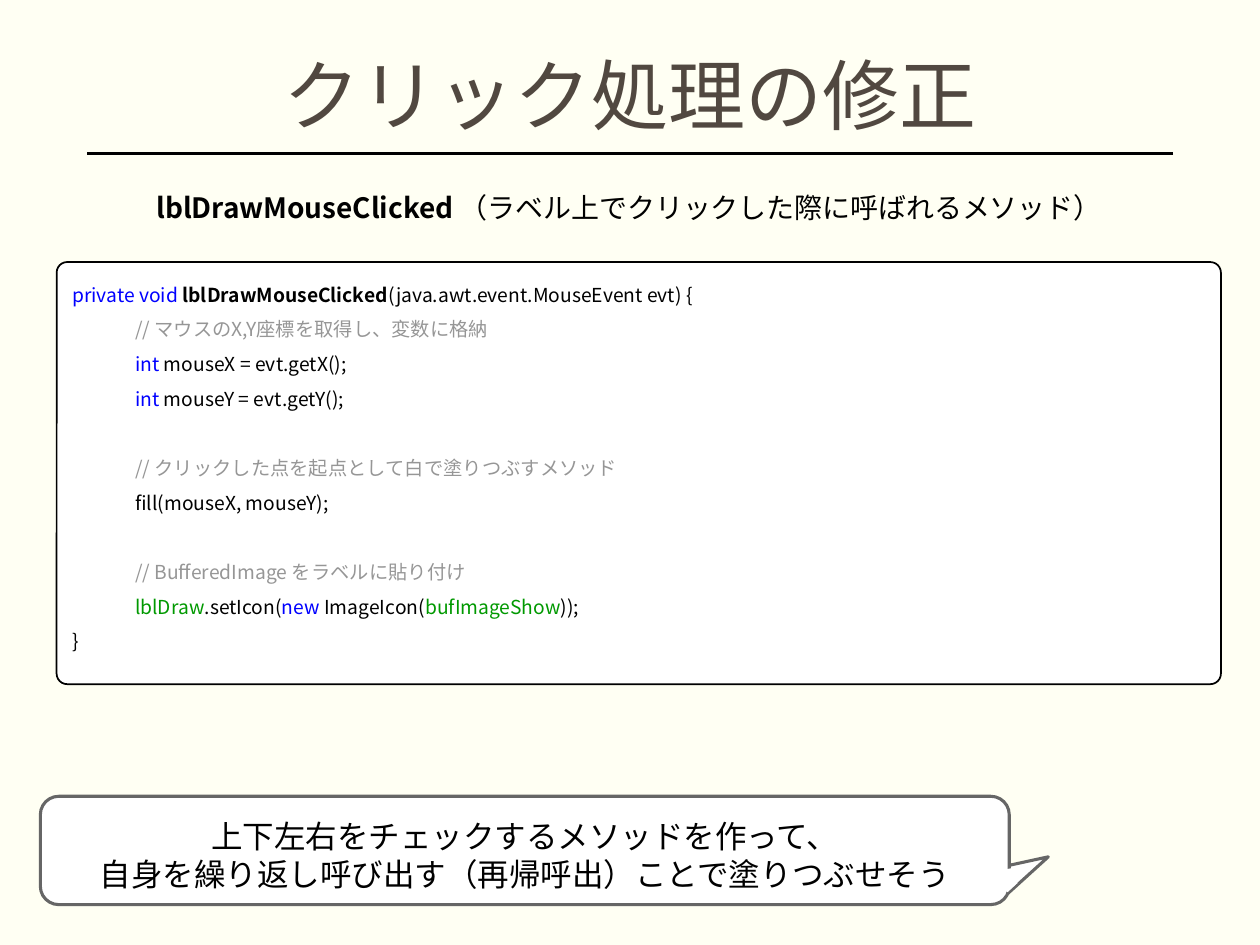
from dataclasses import dataclass

from lxml import etree
from pptx import Presentation
from pptx.dml import color
from pptx.enum import shapes, text
from pptx.oxml import ns
from pptx.util import Inches, Pt


@dataclass(frozen=True)
class Theme:
    face: str = "Noto Sans CJK JP"
    paper: str = "FFFFF3"
    panel: str = "FFFFFF"
    heading: str = "514840"
    ink: str = "000000"
    keyword: str = "0000FF"
    remark: str = "969696"
    field: str = "009900"
    edge: str = "666666"
    title_size: float = 44
    callout_size: float = 18
    subtitle_size: float = 16
    code_size: float = 11
    code_spacing: float = 1.5
    blank_line: float = 19.8


def rgb(value):
    return color.RGBColor.from_string(value)


def assign(target, values):
    for name, value in values.items():
        setattr(target, name, value)


class SlideBuilder:
    def __init__(self, slide, theme):
        self.slide = slide
        self.theme = theme
        slide.background.fill.solid()
        slide.background.fill.fore_color.rgb = rgb(theme.paper)

    def add_runs(self, paragraph, runs, size, **layout):
        assign(paragraph, layout)
        for words, ink, bold in runs:
            run = paragraph.add_run()
            run.text = words
            assign(run.font, {"name": self.theme.face, "size": Pt(size), "bold": bold})
            run.font.color.rgb = rgb(ink)
            latin = run.font._element.find(ns.qn("a:latin"))
            east_asian = etree.Element(ns.qn("a:ea"), typeface=self.theme.face)
            latin.addnext(east_asian)

    def paint(self, shape, edge=None, width=0):
        shape.shadow.inherit = False
        shape.fill.solid()
        shape.fill.fore_color.rgb = rgb(self.theme.panel)
        if edge:
            shape.line.color.rgb = rgb(edge)
            shape.line.width = Pt(width)
        else:
            shape.line.fill.background()

    def title(self, words, box):
        heading = self.slide.shapes.title
        assign(heading, dict(zip(("left", "top", "width", "height"), map(Inches, box))))
        heading.text_frame.vertical_anchor = text.MSO_ANCHOR.MIDDLE
        self.add_runs(heading.text_frame.paragraphs[0], [(words, self.theme.heading, False)],
                      self.theme.title_size, alignment=text.PP_ALIGN.CENTER, line_spacing=0.9)

    def rule(self, start, end, width):
        line = self.slide.shapes.add_connector(
            shapes.MSO_CONNECTOR.STRAIGHT, *map(Inches, start + end))
        line.line.color.rgb = rgb(self.theme.ink)
        line.line.width = Pt(width)
        etree.SubElement(line._element.spPr, ns.qn("a:effectLst"))

    def subtitle(self, runs, box):
        caption = self.slide.shapes.add_textbox(*map(Inches, box))
        assign(caption.text_frame, {"word_wrap": True,
                                    "auto_size": text.MSO_AUTO_SIZE.SHAPE_TO_FIT_TEXT})
        self.add_runs(caption.text_frame.paragraphs[0], runs, self.theme.subtitle_size,
                      alignment=text.PP_ALIGN.CENTER)

    def panel(self, box, edge, width, corner, **frame):
        shape = self.slide.shapes.add_shape(
            shapes.MSO_SHAPE.ROUNDED_RECTANGLE, *map(Inches, box))
        shape.adjustments[0] = corner
        self.paint(shape, edge, width)
        assign(shape.text_frame, frame)
        return shape.text_frame

    def paragraphs(self, frame, count):
        return frame.paragraphs + tuple(frame.add_paragraph() for _ in range(count - 1))

    def code(self, lines, box):
        frame = self.panel(box, self.theme.ink, 1, 0.025, word_wrap=True,
                           vertical_anchor=text.MSO_ANCHOR.TOP)
        for paragraph, (indent, gap, runs) in zip(self.paragraphs(frame, len(lines)), lines):
            self.add_runs(paragraph, runs, self.theme.code_size,
                          alignment=text.PP_ALIGN.LEFT, line_spacing=self.theme.code_spacing,
                          space_before=Pt(gap * self.theme.blank_line))
            properties = paragraph._p.get_or_add_pPr()
            properties.set("marL", str(Inches(indent)))
            properties.set("indent", "0")

    def tail(self, points):
        corners = [tuple(map(Inches, point)) for point in points]
        outline = self.slide.shapes.build_freeform(*corners[0])
        outline.add_line_segments(corners[1:], close=True)
        self.paint(outline.convert_to_shape(), self.theme.edge, 1.75)

    def callout(self, sentences, box):
        frame = self.panel(box, self.theme.edge, 1.75, 0.17, word_wrap=False,
                           vertical_anchor=text.MSO_ANCHOR.MIDDLE, margin_top=Inches(0.12))
        for paragraph, sentence in zip(self.paragraphs(frame, len(sentences)), sentences):
            self.add_runs(paragraph, [(sentence, self.theme.ink, False)],
                          self.theme.callout_size, alignment=text.PP_ALIGN.CENTER)

    def joint(self, box, rotation):
        cover = self.slide.shapes.add_shape(shapes.MSO_SHAPE.RECTANGLE, *map(Inches, box))
        self.paint(cover)
        cover.rotation = rotation


def main():
    deck = Presentation()
    assign(deck, {"slide_width": Inches(10), "slide_height": Inches(7.5)})
    theme = Theme()
    page = SlideBuilder(deck.slides.add_slide(deck.slide_layouts[5]), theme)

    def plain(words):
        return words, theme.ink, False

    def bold(words):
        return words, theme.ink, True

    def keyword(words):
        return words, theme.keyword, False

    def remark(words):
        return words, theme.remark, False

    def field(words):
        return words, theme.field, False

    method = "lblDrawMouseClicked"
    page.rule((9.31, 1.22), (0.69, 1.22), 2)
    page.title("クリック処理の修正", (0.69, 0.36, 8.62, 0.86))
    page.code([
        (0, 0, [keyword("private void "), bold(method),
                plain("(java.awt.event.MouseEvent evt) {")]),
        (0.5, 0, [remark("// マウスのX,Y座標を取得し、変数に格納")]),
        (0.5, 0, [keyword("int "), plain("mouseX = evt.getX();")]),
        (0.5, 0, [keyword("int "), plain("mouseY = evt.getY();")]),
        (0.5, 1, [remark("// クリックした点を起点として白で塗りつぶすメソッド")]),
        (0.5, 0, [plain("fill(mouseX, mouseY);")]),
        (0.5, 1, [remark("// BufferedImage をラベルに貼り付け")]),
        (0.5, 0, [field("lblDraw"), plain(".setIcon("), keyword("new "),
                  plain("ImageIcon("), field("bufImageShow"), plain("));")]),
        (0, 0, [plain("}")]),
    ], (0.45, 2.08, 9.24, 3.35))
    page.subtitle([bold(method + " "), plain("（ラベル上でクリックした際に呼ばれるメソッド）")],
                  (0.6, 1.46, 8.79, 0.37))
    page.tail([(8, 6.87), (8.32, 6.8), (8, 7.09)])
    page.callout(["上下左右をチェックするメソッドを作って、",
                  "自身を繰り返し呼び出す（再帰呼出）ことで塗りつぶせそう"],
                 (0.32, 6.32, 7.69, 0.86))
    page.joint((7.94, 6.86, 0.09, 0.17), 78)
    page.joint((7.97, 6.96, 0.08, 0.11), 47.5)
    deck.save("out.pptx")


if __name__ == "__main__":
    main()
